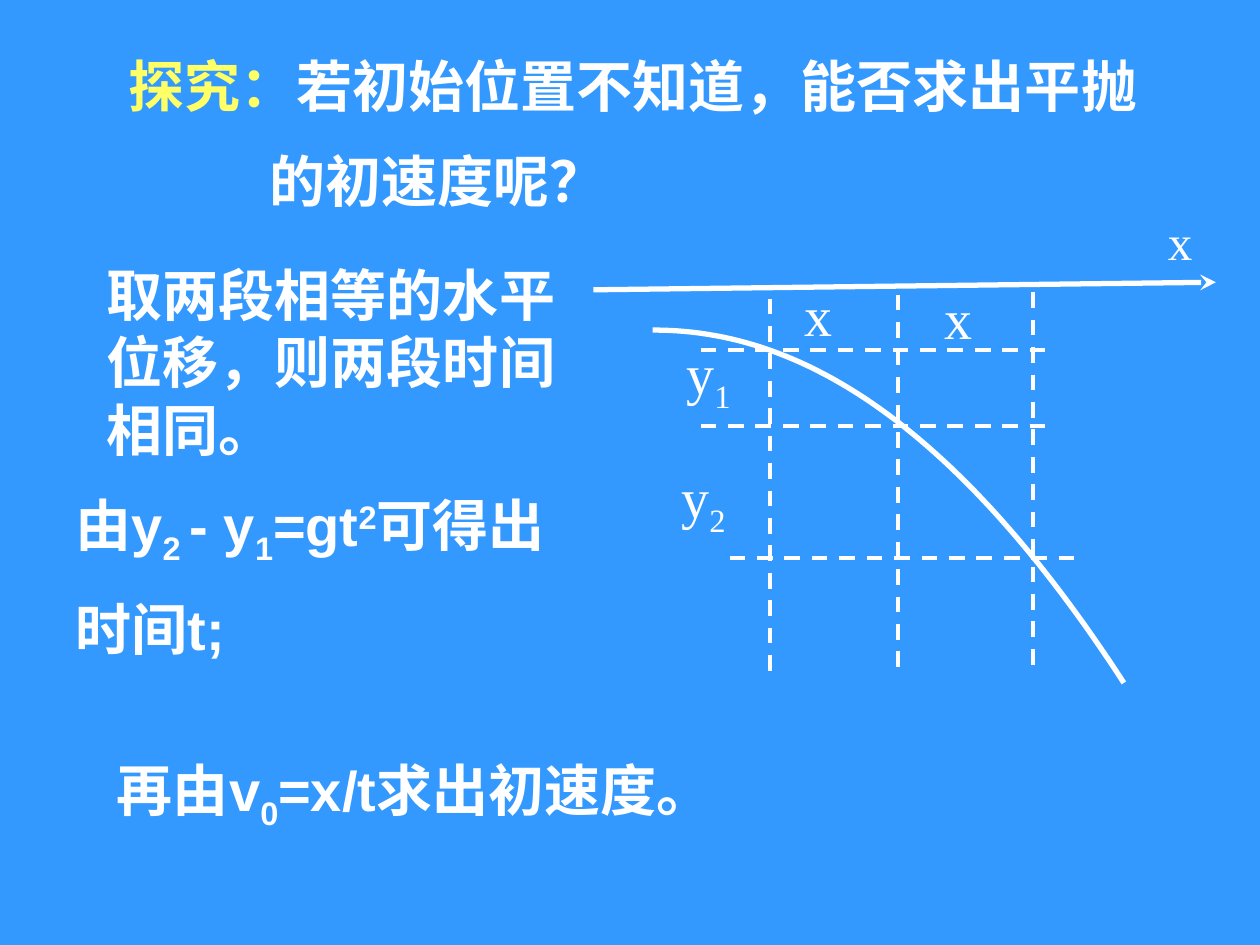
import pptx
import pptx.util
import pptx.dml.color
import pptx.enum.dml
import pptx.enum.shapes
import pptx.enum.text
import pptx.oxml.ns
from lxml import etree

Inches = pptx.util.Inches
WHITE, YELLOW, BLUE = "FFFFFF", "FFFF66", "3399FF"
SUB, SUPER = -25000, 30000

# Content: a paragraph is a list of (text, format) runs
question = [
    [("探究：", {"color": YELLOW}), ("若初始位置不知道，能否求出平抛", {})],
    [("的初速度呢？", {})],
]
steps = [
    ((0.75, 2.02, 3.78, 1.7), [[("取两段相等的水平位移，则两段时间相同。", {})]]),
    ((0.5, 3.84, 4.74, 1.43), [
        [("由y", {}), ("2 ", {"baseline": SUB}), ("- y", {}), ("1", {"baseline": SUB}),
         ("=gt", {}), ("2", {"baseline": SUPER}), ("可得出", {})],
        [("时间t;", {})],
    ]),
    ((0.83, 5.95, 5.33, 0.63),
     [[("再由v", {}), ("0", {"baseline": SUB}), ("=x/t求出初速度。", {})]]),
]
# Diagram labels: left, top, letter, subscript, size
labels = [
    (9.17, 1.63, "x", "", 28),
    (6.29, 2.18, "x", "", 32),
    (7.4, 2.2, "x", "", 32),
    (5.35, 2.64, "y", "1", 32),
    (5.31, 3.62, "y", "2", 32),
]
verticals = [(6.11, 2.37), (7.13, 2.34), (8.2, 2.32)]
vertical_length = 3
horizontals = [(5.56, 2.78), (5.56, 3.38), (5.79, 4.43)]
horizontal_length = 2.74
axis = (4.71, 2.3, 9.65, 2.24)
launch, landing = (5.18, 2.62), (8.92, 5.42)
curve_power, curve_steps = 2.06, 60


def rgb(value):
    return pptx.dml.color.RGBColor.from_string(value)


def add_run(paragraph, text, font="Arial", size=32, color=WHITE, bold=True, baseline=0):
    run = paragraph.add_run()
    run.text = text
    run.font.name = font
    run.font.size = pptx.util.Pt(size)
    run.font.bold = bold
    run.font.color.rgb = rgb(color)
    if baseline:
        run._r.get_or_add_rPr().set("baseline", str(baseline))


def fill_text(frame, paragraphs, wrap=True, **style):
    frame.word_wrap = wrap
    frame.auto_size = pptx.enum.text.MSO_AUTO_SIZE.NONE
    frame.vertical_anchor = pptx.enum.text.MSO_ANCHOR.TOP
    for index, runs in enumerate(paragraphs):
        paragraph = frame.add_paragraph() if index else frame.paragraphs[0]
        paragraph.alignment = pptx.enum.text.PP_ALIGN.LEFT
        paragraph.space_before = pptx.util.Pt(16 if index else 0)
        for text, run_format in runs:
            add_run(paragraph, text, **{**style, **run_format})


def add_line(x1, y1, x2, y2, width=2.25, dashed=True, arrow=False):
    line = slide.shapes.add_connector(
        pptx.enum.shapes.MSO_CONNECTOR.STRAIGHT,
        Inches(x1), Inches(y1), Inches(x2), Inches(y2))
    line.line.color.rgb = rgb(WHITE)
    line.line.width = pptx.util.Pt(width)
    if dashed:
        line.line.dash_style = pptx.enum.dml.MSO_LINE.DASH
    if arrow:
        etree.SubElement(line.line._get_or_add_ln(), pptx.oxml.ns.qn("a:tailEnd"), type="stealth")
    etree.SubElement(line._element.spPr, pptx.oxml.ns.qn("a:effectLst"))


presentation = pptx.Presentation()
presentation.slide_width, presentation.slide_height = Inches(10), Inches(7.5)
slide = presentation.slides.add_slide(presentation.slide_layouts[5])
slide.background.fill.solid()
slide.background.fill.fore_color.rgb = rgb(BLUE)

# Question, with its second line indented
title = slide.shapes.title
title.left, title.top, title.width, title.height = map(Inches, (0.92, 0.36, 8.27, 1.43))
fill_text(title.text_frame, question)
title.text_frame.paragraphs[1]._p.get_or_add_pPr().set("marL", str(Inches(1.12)))

# Axis and trajectory
add_line(*axis, width=3, dashed=False, arrow=True)
fractions = [step / curve_steps for step in range(curve_steps + 1)]
points = [(Inches(launch[0] + (landing[0] - launch[0]) * u),
           Inches(launch[1] + (landing[1] - launch[1]) * u ** curve_power)) for u in fractions]
builder = slide.shapes.build_freeform(*points[0])
builder.add_line_segments(points[1:], close=False)
trajectory = builder.convert_to_shape()
trajectory.shadow.inherit = False
trajectory.fill.background()
trajectory.line.color.rgb = rgb(WHITE)
trajectory.line.width = pptx.util.Pt(3)

# Dashed guides
for x, y in verticals:
    add_line(x, y, x, y + vertical_length)
for x, y in horizontals:
    add_line(x, y, x + horizontal_length, y)

# Diagram labels
for left, top, letter, subscript, size in labels:
    label = slide.shapes.add_textbox(Inches(left), Inches(top), Inches(0.7), Inches(0.68))
    runs = [(letter, {})] + ([(subscript, {"baseline": SUB})] if subscript else [])
    fill_text(label.text_frame, [runs], font="Times New Roman", size=size, bold=False)

# Solution steps
for box, paragraphs in steps:
    step_text = slide.shapes.add_textbox(*map(Inches, box))
    fill_text(step_text.text_frame, paragraphs)

presentation.save("out.pptx")
